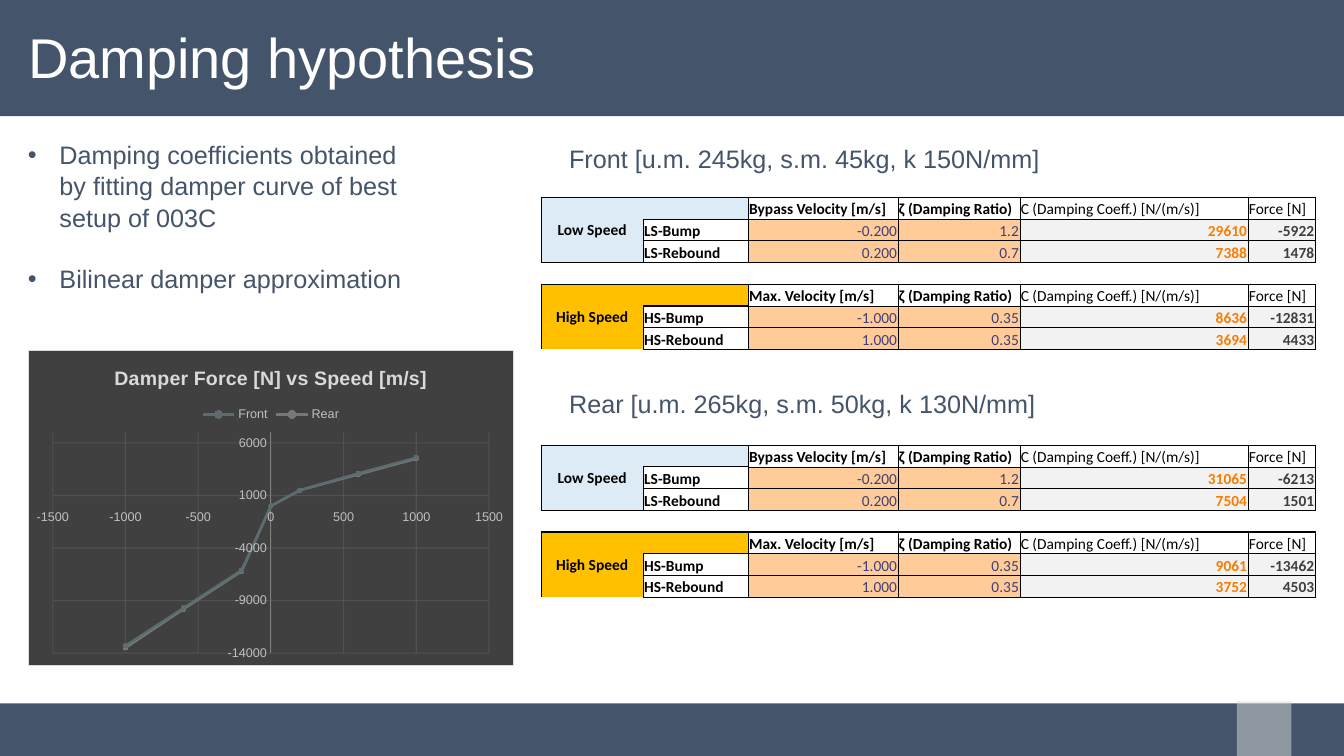
from lxml import etree
from pptx import Presentation
from pptx.chart.data import XyChartData
from pptx.dml.color import RGBColor
from pptx.enum import chart as ch, shapes, text
from pptx.oxml import parse_xml
from pptx.oxml.ns import nsdecls, qn
from pptx.util import Pt

NAVY, BLACK, GREY = "44546A", "000000", "BFBFBF"
COLUMNS = [73, 75, 107, 87, 163, 48]
ROW_HEIGHT = 15.53
NO_STYLE = "{2D5ABB26-0587-4C30-8999-92F81FD0307C}"
SPEEDS = [-1000, -600, -200, 0, 200, 600, 1000]
CURVES = [
    ("Front", "5C6D72", "9AA9AE", [-13300, -9700, -6100, 0, 1500, 3100, 4600]),
    ("Rear", "777775", "ADADAC", [-13500, -9800, -6200, 0, 1500, 3000, 4500]),
]
FRONT = [
    [("-0.200", "1.2", "29610", "-5922"), ("0.200", "0.7", "7388", "1478")],
    [("-1.000", "0.35", "8636", "-12831"), ("1.000", "0.35", "3694", "4433")],
]
REAR = [
    [("-0.200", "1.2", "31065", "-6213"), ("0.200", "0.7", "7504", "1501")],
    [("-1.000", "0.35", "9061", "-13462"), ("1.000", "0.35", "3752", "4503")],
]
BLOCKS = [("Low Speed", "LS", "Bypass", "DDEBF7"), ("High Speed", "HS", "Max.", "FFC000")]


def rgb(color):
    """Turn a hex string into a colour."""
    return RGBColor.from_string(color)


def set_font(font, size, color, name="Arial", bold=False):
    """Set the usual font properties."""
    font.size, font.name, font.bold = Pt(size), name, bold
    font.color.rgb = rgb(color)


def set_alpha(fmt, percent):
    """Make the solid fill below an element partly transparent."""
    color = next(fmt.iter(qn("a:srgbClr")))
    etree.SubElement(color, qn("a:alpha")).set("val", str(percent * 1000))


def add_rect(slide, left, top, width, height, color):
    """Add a flat rectangle without an outline."""
    sp = slide.shapes.add_shape(
        shapes.MSO_SHAPE.RECTANGLE, Pt(left), Pt(top), Pt(width), Pt(height))
    sp.shadow.inherit = False
    sp.fill.solid()
    sp.fill.fore_color.rgb = rgb(color)
    sp.line.fill.background()
    return sp


def add_text(slide, box, paragraphs, size=18, color=NAVY, anchor="TOP"):
    """Add a text box with one run per paragraph."""
    tf = slide.shapes.add_textbox(*map(Pt, box)).text_frame
    tf.word_wrap = True
    tf.vertical_anchor = text.MSO_ANCHOR[anchor]
    tf.margin_left, tf.margin_top = Pt(20), Pt(5.6)
    tf.margin_right, tf.margin_bottom = Pt(7.2), Pt(2.8)
    tf.text = "\n".join(paragraphs)
    for p in tf.paragraphs:
        set_font(p.runs[0].font, size, color)
    return tf


def add_bullets(slide, box, items):
    """Add a bulleted list with a line of space between the items."""
    tf = add_text(slide, box, items)
    for i, p in enumerate(tf.paragraphs):
        p.line_spacing = 1.04
        p.space_before = Pt(21.6 if i else 0)
        pPr = p._p.get_or_add_pPr()
        pPr.set("marL", str(Pt(22.5)))
        pPr.set("indent", str(-Pt(22.5)))
        etree.SubElement(pPr, qn("a:buFont")).set("typeface", "Arial")
        etree.SubElement(pPr, qn("a:buChar")).set("char", "•")


def set_borders(cell, widths):
    """Draw black borders, given widths by side letter."""
    tcPr = cell._tc.get_or_add_tcPr()
    for side in "LRTB":
        if side in widths:
            tcPr.append(parse_xml(
                f'<a:ln{side} {nsdecls("a")} w="{Pt(widths[side])}"><a:solidFill>'
                f'<a:srgbClr val="{BLACK}"/></a:solidFill></a:ln{side}>'))


def border_widths(row, col):
    """Return the border widths of a cell within a three-row block."""
    corner = (row, col) == (0, 1)
    widths = {
        "L": 1 if col < 2 or (row == 0 and col == 2) else 0.5,
        "R": 1 if col == 5 or corner else 0.5,
        "T": 1 if row == 0 or (row, col) == (1, 1) else 0.5,
        "B": 1 if row == 2 or corner else 0.5,
    }
    if corner:
        del widths["L"]
    if col == 0:
        hidden = {0: "RB", 1: "RTB", 2: "RT"}[row]
        widths = {side: w for side, w in widths.items() if side not in hidden}
    return widths


def fill_cell(cell, value="", color=BLACK, bold=False, align="LEFT", anchor="BOTTOM", fill=None):
    """Write one table cell."""
    cell.margin_left = cell.margin_right = cell.margin_top = Pt(0.7)
    cell.margin_bottom = 0
    cell.vertical_anchor = text.MSO_ANCHOR[anchor]
    p = cell.text_frame.paragraphs[0]
    p.text = value
    p.alignment = text.PP_ALIGN[align]
    for r in p.runs:
        set_font(r.font, 11, color, "Calibri", bold)
    if not value:
        etree.SubElement(p._p, qn("a:endParaRPr")).set("sz", "1100")
    if fill:
        cell.fill.solid()
        cell.fill.fore_color.rgb = rgb(fill)
    else:
        cell.fill.background()


def fill_block(table, top, block, values):
    """Write the three rows of one speed range."""
    label, short, velocity, tint = block
    for row in range(3):
        for col in range(6):
            set_borders(table.cell(top + row, col), border_widths(row, col))
    for row in range(3):
        fill_cell(table.cell(top + row, 0), "" if row else label, bold=True,
                  align="CENTER", anchor="MIDDLE", fill=tint)
    table.cell(top, 0).merge(table.cell(top + 2, 0))
    fill_cell(table.cell(top, 1), fill=tint)
    heads = [f"{velocity} Velocity [m/s]", "ζ (Damping Ratio)",
             "C (Damping Coeff.) [N/(m/s)]", "Force [N]"]
    styles = [("3F3F76", False, "FFCC99")] * 2 + [("FA7D00", True, "F2F2F2"),
                                                ("3F3F3F", True, "F2F2F2")]
    for col, head in enumerate(heads, 2):
        fill_cell(table.cell(top, col), head, bold=col < 4)
    for row, (name, numbers) in enumerate(zip(("Bump", "Rebound"), values), top + 1):
        fill_cell(table.cell(row, 1), f"{short}-{name}", bold=True)
        for col, (number, (color, bold, fill)) in enumerate(zip(numbers, styles), 2):
            fill_cell(table.cell(row, col), number, color, bold, "RIGHT", fill=fill)


def add_damping_table(slide, top, values):
    """Add the low and high speed table of one axle."""
    table = slide.shapes.add_table(
        7, 6, Pt(386.5), Pt(top), Pt(sum(COLUMNS)), Pt(7 * ROW_HEIGHT)).table
    table.first_row = table.horz_banding = False
    table._tbl.tblPr.find(qn("a:tableStyleId")).text = NO_STYLE
    for column, width in zip(table.columns, COLUMNS):
        column.width = Pt(width)
    for row in table.rows:
        row.height = Pt(ROW_HEIGHT)
    for col in range(6):
        set_borders(table.cell(3, col), {"T": 1, "B": 1})
        fill_cell(table.cell(3, col))
    for top_row, block, rows in zip((0, 4), BLOCKS, values):
        fill_block(table, top_row, block, rows)


def style_axis(axis, low, high, step):
    """Set the scale, labels and gridlines of an axis."""
    axis.minimum_scale, axis.maximum_scale, axis.major_unit = low, high, step
    axis.major_tick_mark = axis.minor_tick_mark = ch.XL_TICK_MARK.NONE
    set_font(axis.tick_labels.font, 9, GREY)
    axis.has_major_gridlines = True
    line = axis.major_gridlines.format.line
    line.color.rgb, line.width = rgb("595959"), Pt(0.75)
    set_alpha(axis._element.find(qn("c:majorGridlines")), 75)


def set_plot_area(chart, **box):
    """Place the inner plot area, in fractions of the chart."""
    area = chart._chartSpace.chart.plotArea
    for old in area.findall(qn("c:layout")):
        area.remove(old)
    parts = "".join(f'<c:{k} val="{v}"/>' for k, v in box.items())
    area.insert(0, parse_xml(
        f'<c:layout {nsdecls("c")}><c:manualLayout><c:layoutTarget val="inner"/>'
        f'<c:xMode val="edge"/><c:yMode val="edge"/>{parts}</c:manualLayout></c:layout>'))


def add_force_chart(slide):
    """Add the dark chart of damper force against speed."""
    data = XyChartData()
    for name, _, _, forces in CURVES:
        series = data.add_series(name)
        for speed, force in zip(SPEEDS, forces):
            series.add_data_point(speed, force)
    chart = slide.shapes.add_chart(ch.XL_CHART_TYPE.XY_SCATTER_LINES, Pt(20), Pt(250),
                                   Pt(347), Pt(226), data).chart
    set_font(chart.font, 10, BLACK)
    chart._chartSpace.chart.addnext(parse_xml(
        f'<c:spPr {nsdecls("c", "a")}><a:solidFill><a:srgbClr val="404040"/></a:solidFill>'
        f'<a:ln w="{Pt(0.75)}"><a:solidFill><a:srgbClr val="D9D9D9"/></a:solidFill></a:ln></c:spPr>'))
    chart.has_title = True
    title = chart.chart_title
    title.include_in_layout = False
    title.text_frame.text = "Damper Force [N] vs Speed [m/s]"
    set_font(title.text_frame.paragraphs[0].runs[0].font, 14, "D9D9D9", bold=True)
    chart.has_legend = True
    chart.legend.position = ch.XL_LEGEND_POSITION.TOP
    chart.legend.include_in_layout = False
    set_font(chart.legend.font, 9, GREY)
    style_axis(chart.category_axis, -1500, 1500, 500)
    chart.category_axis.format.line.fill.background()
    style_axis(chart.value_axis, -14000, 7000, 5000)
    line = chart.value_axis.format.line
    line.color.rgb, line.width = rgb("808080"), Pt(0.75)
    set_plot_area(chart, x=0.05, y=0.26, w=0.9, h=0.7)
    chart.plots[0].vary_by_categories = False
    for series, (_, color, dot, _) in zip(chart.plots[0].series, CURVES):
        series.smooth = False
        series.format.line.color.rgb, series.format.line.width = rgb(color), Pt(1.75)
        series.marker.style, series.marker.size = ch.XL_MARKER_STYLE.CIRCLE, 3
        series.marker.format.fill.solid()
        series.marker.format.fill.fore_color.rgb = rgb(dot)
        series.marker.format.line.color.rgb = rgb(dot)


def main():
    """Build the slide and save it."""
    prs = Presentation()
    prs.slide_width, prs.slide_height = Pt(960), Pt(540)
    slide = prs.slides.add_slide(prs.slide_layouts[6])
    add_rect(slide, 0, 0, 960, 83, NAVY)
    add_rect(slide, -2, 502.5, 962, 39.5, NAVY)
    set_alpha(add_rect(slide, 883.5, 501, 39, 39, "D9DCDC")._element.spPr, 50)
    title = add_text(slide, (0, 0, 963, 83), ["Damping hypothesis"], 40, "FFFFFF", "MIDDLE")
    title.paragraphs[0].line_spacing = 0.9
    add_bullets(slide, (0, 93, 297, 140), [
        "Damping coefficients obtained by fitting damper curve of best setup of 003C",
        "Bilinear damper approximation"])
    for top, label, values in (
            (97, "Front [u.m. 245kg, s.m. 45kg, k 150N/mm]", FRONT),
            (272, "Rear [u.m. 265kg, s.m. 50kg, k 130N/mm]", REAR)):
        add_text(slide, (386.5, top, 553, 32), [label])
        add_damping_table(slide, top + (44 if values is FRONT else 46), values)
    add_force_chart(slide)
    prs.save("out.pptx")


if __name__ == "__main__":
    main()
